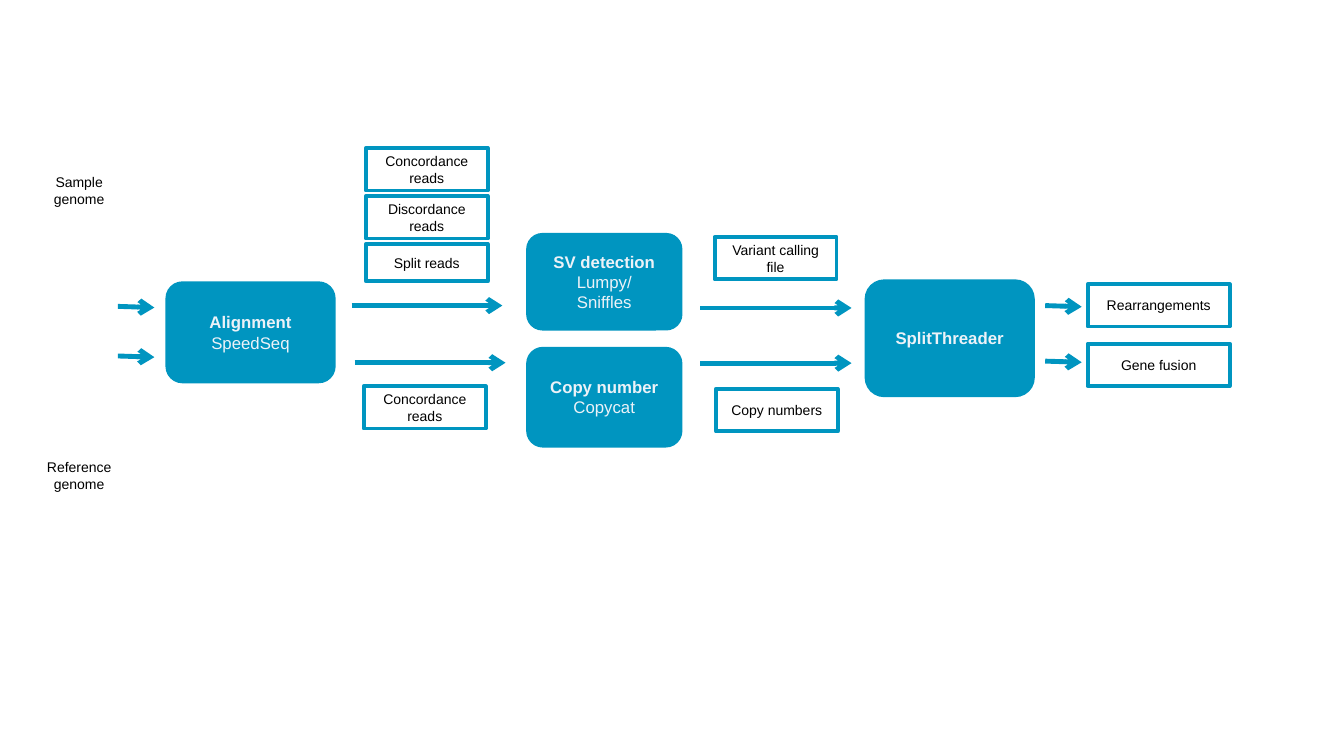
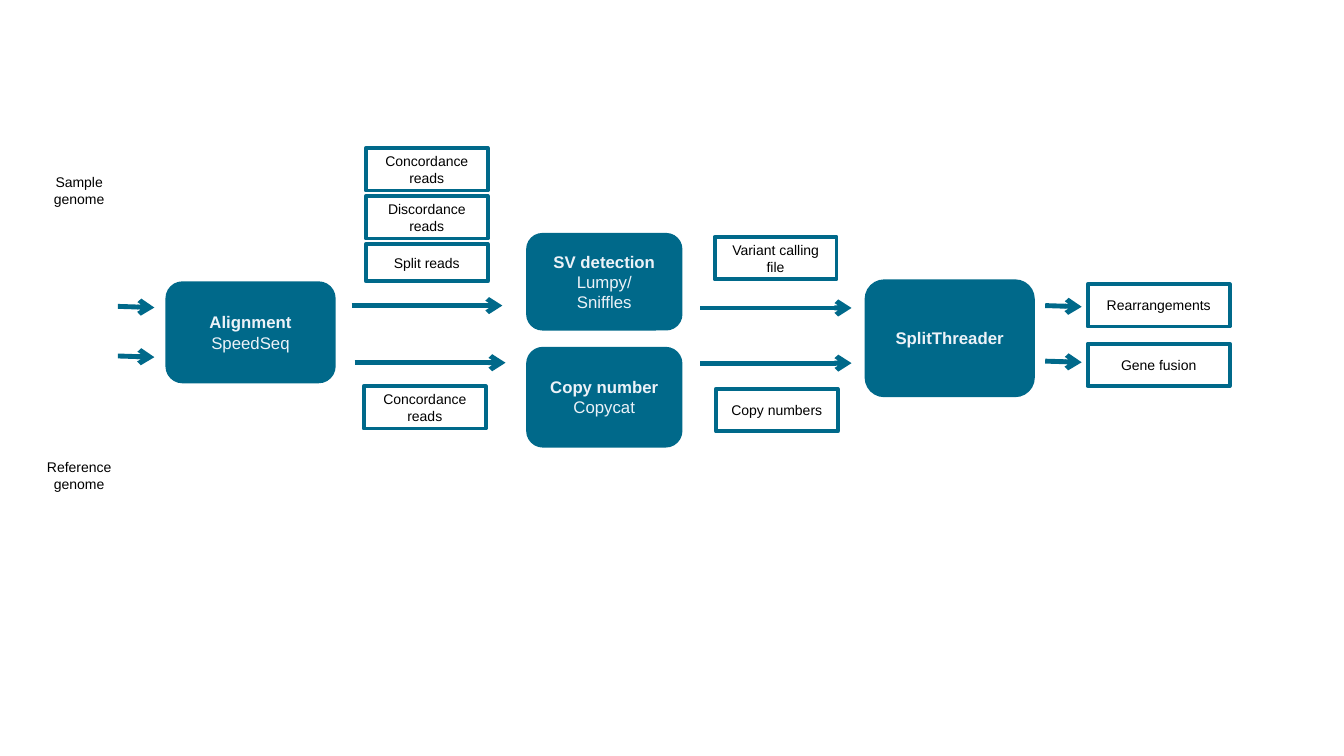
from lxml import etree
from pptx import Presentation
from pptx.dml.color import RGBColor
from pptx.enum import shapes, text
from pptx.oxml.ns import qn
from pptx.util import Cm, Pt

BRIGHT = RGBColor(0x00, 0x95, 0xC0)
DEEP = RGBColor(0x00, 0x69, 0x8A)
PALE = RGBColor(0xEC, 0xF2, 0xF8)
WHITE = RGBColor(0xFF, 0xFF, 0xFF)
BLACK = RGBColor(0x00, 0x00, 0x00)
FONT = "Arial"
NOTE_W, NOTE_H = 3.07, 1.07


def write(sp, lines, size, color, bold_first=False):
    """Fill a shape with centred paragraphs, the first optionally bold."""
    tf = sp.text_frame
    tf.word_wrap = True
    for i, line in enumerate(lines):
        p = tf.paragraphs[0] if i == 0 else tf.add_paragraph()
        p.text = line
        p.alignment = text.PP_ALIGN.CENTER
        p.font.name, p.font.size = FONT, Pt(size)
        p.font.color.rgb = color
        p.font.bold = bold_first and i == 0


def add_box(s, x, y, w, h, fill):
    """Add a filled rounded rectangle without a shadow."""
    sp = s.shapes.add_shape(shapes.MSO_SHAPE.ROUNDED_RECTANGLE,
                            Cm(x), Cm(y), Cm(w), Cm(h))
    sp.shadow.inherit = False
    sp.fill.solid()
    sp.fill.fore_color.rgb = fill
    sp.text_frame.vertical_anchor = text.MSO_ANCHOR.MIDDLE
    return sp


def add_step(s, x, y, w, h, lines, color):
    """Add a solid step box with a bold heading."""
    sp = add_box(s, x, y, w, h, color)
    sp.line.fill.background()
    write(sp, lines, 12, PALE, bold_first=True)


def add_note(s, x, y, label, color, w=NOTE_W, h=NOTE_H):
    """Add a square-cornered outlined box for a data item."""
    sp = add_box(s, x, y, w, h, WHITE)
    sp.adjustments[0] = 0
    sp.line.color.rgb = color
    sp.line.width = Pt(2.75)
    write(sp, [label], 10, BLACK)


def add_arrow(s, x, y, length, color, drop=0):
    """Add an arrow to the right that may fall slightly."""
    c = s.shapes.add_connector(shapes.MSO_CONNECTOR.STRAIGHT,
                               Cm(x), Cm(y), Cm(x + length), Cm(y + drop))
    c.line.color.rgb = color
    c.line.width = Pt(3.5)
    etree.SubElement(c.line._get_or_add_ln(), qn("a:tailEnd"), type="arrow")
    etree.SubElement(c._element.spPr, qn("a:effectLst"))


def add_genomes(s, x, y, color):
    """Place the two genome labels and the arrows leaving them."""
    for dy, label in ((0, "Sample genome"), (7.19, "Reference genome")):
        sp = s.shapes.add_textbox(Cm(x), Cm(y + dy), Cm(2.57), Cm(1.12))
        write(sp, [label], 10, BLACK)
    for dy in (3.48, 4.73):
        add_arrow(s, x + 2.26, y + dy, 0.92, color, 0.03)


def add_reads(s, x, y, color):
    """Place the read types around the arrows out of alignment."""
    stack = (("Concordance reads", NOTE_H), ("Discordance reads", NOTE_H),
             ("Split reads", 0.94))
    for i, (label, h) in enumerate(stack):
        add_note(s, x, y + i * 1.21, label, color, h=h)
    add_arrow(s, x - 0.36, y + 3.97, 3.8, color)
    add_arrow(s, x - 0.28, y + 5.41, 3.8, color)
    add_note(s, x - 0.05, y + 6, "Concordance reads", color)


def add_callers(s, x, y, color):
    """Place the two detection steps one above the other."""
    add_step(s, x, y, 3.94, 2.46, ["SV detection", "Lumpy/", "Sniffles"], color)
    add_step(s, x, y + 2.87, 3.94, 2.54, ["Copy number", "Copycat"], color)


def add_calls(s, x, y, color):
    """Place the called data around the arrows out of detection."""
    add_note(s, x, y, "Variant calling file", color)
    for dy in (1.79, 3.18):
        add_arrow(s, x - 0.36, y + dy, 3.81, color)
    add_note(s, x + 0.03, y + 3.83, "Copy numbers", color)


def add_results(s, x, y, color):
    """Place the two results with an arrow into each."""
    for dy, arrow_dy, label in ((0, 0.54, "Rearrangements"),
                                (1.5, 1.94, "Gene fusion")):
        add_arrow(s, x - 1.07, y + arrow_dy, 0.92, color, 0.03)
        add_note(s, x, y + dy, label, color, w=3.58)


def add_pipeline(prs, color):
    """Add one slide showing the whole pipeline in the given colour."""
    s = prs.slides.add_slide(prs.slide_layouts[6])
    add_genomes(s, 0.71, 4.24, color)
    add_step(s, 4.17, 7.09, 4.29, 2.57, ["Alignment", "SpeedSeq"], color)
    add_reads(s, 9.22, 3.73, color)
    add_callers(s, 13.26, 5.87, color)
    add_calls(s, 18.01, 5.97, color)
    add_step(s, 21.79, 7.04, 4.29, 2.97, ["SplitThreader"], color)
    add_results(s, 27.41, 7.16, color)


def main():
    """Build both colour versions and save them."""
    prs = Presentation()
    prs.slide_width, prs.slide_height = Cm(33.87), Cm(19.05)
    for color in (BRIGHT, DEEP):
        add_pipeline(prs, color)
    prs.save("out.pptx")


if __name__ == "__main__":
    main()
